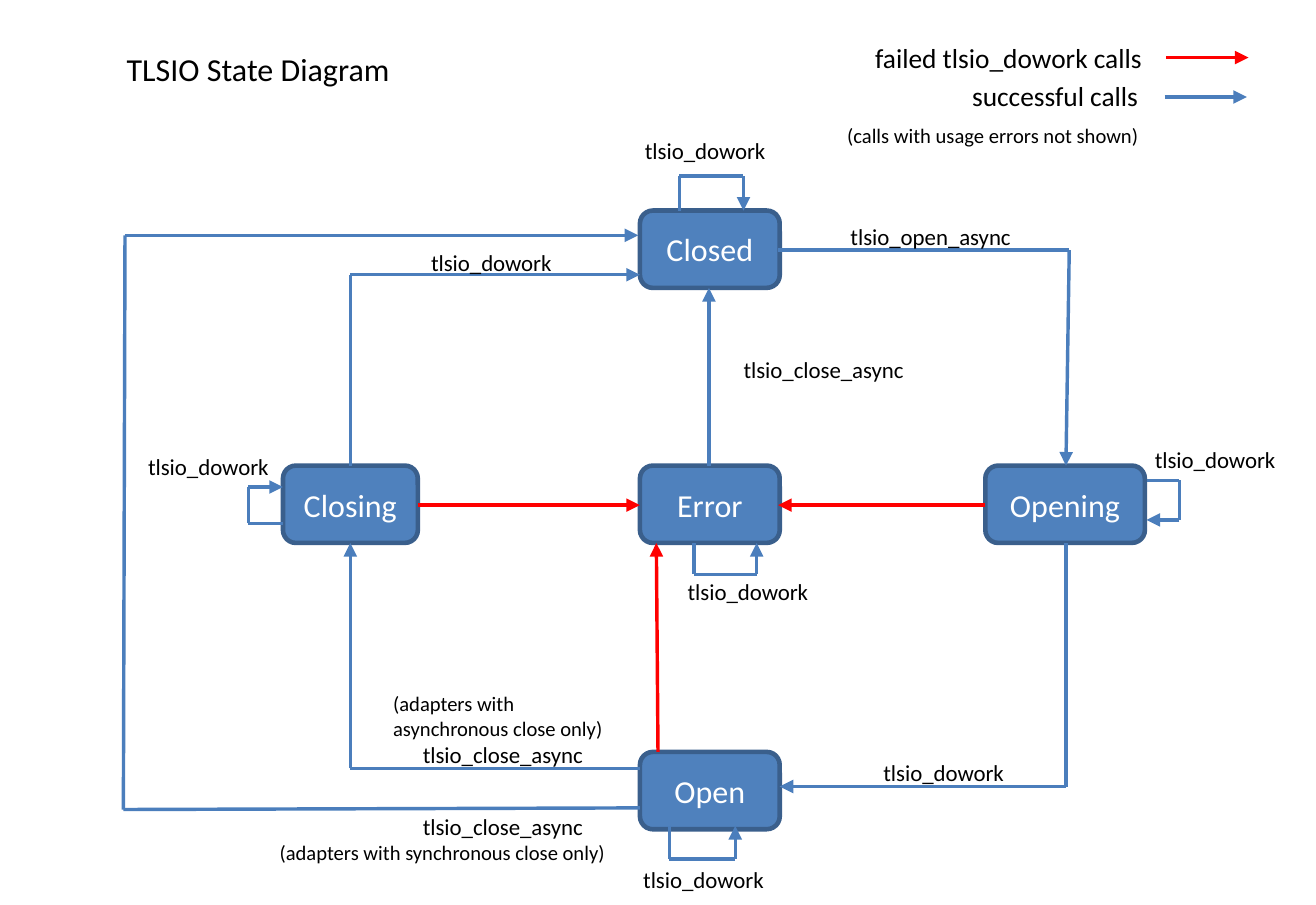
from itertools import pairwise

from lxml import etree
from pptx import Presentation
from pptx import util as u
from pptx.dml.color import RGBColor
from pptx.enum import shapes, text
from pptx.oxml.ns import qn

BLACK = RGBColor(0x00, 0x00, 0x00)
WHITE = RGBColor(0xFF, 0xFF, 0xFF)
STATE_FILL = RGBColor(0x4F, 0x81, 0xBD)
STATE_EDGE = RGBColor(0x3A, 0x5F, 0x8C)
SUCCESS = RGBColor(0x4B, 0x7E, 0xBC)
FAILURE = RGBColor(0xFF, 0x00, 0x00)


def write(frame, words, size=10, color=BLACK, align=text.PP_ALIGN.LEFT,
          wrap=False, inset=(0.15, 0.08)):
    frame.word_wrap = wrap
    frame.margin_left = frame.margin_right = u.Inches(inset[0])
    frame.margin_top = frame.margin_bottom = u.Inches(inset[1])
    para = frame.paragraphs[0]
    para.alignment = align
    span = para.add_run()
    span.text = words
    span.font.name = "Calibri"
    span.font.size = u.Pt(size)
    span.font.color.rgb = color


def draw_route(page, points, color):
    """Join the points with straight lines and end in an arrowhead."""
    for start, end in pairwise(points):
        line = page.shapes.add_connector(
            shapes.MSO_CONNECTOR.STRAIGHT, *map(u.Inches, start + end))
        line.line.color.rgb = color
        line.line.width = u.Pt(1.5)
        etree.SubElement(line._element.spPr, qn("a:effectLst"))
    etree.SubElement(line.line._get_or_add_ln(), qn("a:tailEnd"), type="triangle")


deck = Presentation()
deck.slide_width, deck.slide_height = u.Inches(8), u.Inches(5.5)
page = deck.slides.add_slide(deck.slide_layouts[6])

# States: name, left, top, width
states = [
    ("Closed", 3.89, 1.28, 0.85),
    ("Closing", 1.72, 2.83, 0.82),
    ("Error", 3.89, 2.83, 0.85),
    ("Opening", 5.99, 2.83, 0.97),
    ("Open", 3.89, 4.57, 0.85),
]
for name, left, top, width in states:
    box = page.shapes.add_shape(
        shapes.MSO_SHAPE.ROUNDED_RECTANGLE,
        *map(u.Inches, (left, top, width, 0.47)))
    box.shadow.inherit = False
    box.fill.solid()
    box.fill.fore_color.rgb = STATE_FILL
    box.line.color.rgb = STATE_EDGE
    box.line.width = u.Pt(2)
    box.text_frame.vertical_anchor = text.MSO_ANCHOR.MIDDLE
    write(box.text_frame, name, size=14, color=WHITE,
          align=text.PP_ALIGN.CENTER, wrap=True, inset=(0.1, 0.05))

# Transitions
success_routes = [
    [(4.73, 1.52), (6.5, 1.52), (6.48, 2.83)],                # Closed to Opening
    [(6.48, 3.3), (6.48, 4.78), (4.74, 4.78)],                # Opening to Open
    [(3.89, 4.67), (2.13, 4.67), (2.13, 3.3)],                # Open to Closing
    [(2.13, 2.83), (2.13, 1.67), (3.89, 1.67)],               # Closing to Closed
    [(3.89, 4.91), (0.75, 4.92), (0.76, 1.43), (3.88, 1.43)],  # Open to Closed
    [(4.31, 2.83), (4.31, 1.75)],                             # Error to Closed
    [(4.13, 1.28), (4.13, 1.07), (4.52, 1.07), (4.52, 1.28)],  # Closed loop
    [(6.97, 2.92), (7.17, 2.92), (7.17, 3.16), (6.97, 3.16)],  # Opening loop
    [(4.22, 3.3), (4.22, 3.49), (4.6, 3.49), (4.6, 3.3)],     # Error loop
    [(4.07, 5.02), (4.07, 5.22), (4.47, 5.22), (4.47, 5.02)],  # Open loop
    [(1.72, 3.18), (1.51, 3.18), (1.51, 2.96), (1.72, 2.96)],  # Closing loop
    [(7.08, 0.59), (7.58, 0.59)],                             # legend
]
failure_routes = [
    [(5.99, 3.07), (4.73, 3.07)],  # Opening to Error
    [(2.54, 3.07), (3.89, 3.07)],  # Closing to Error
    [(4, 4.57), (3.99, 3.3)],      # Open to Error
    [(7.09, 0.35), (7.59, 0.35)],  # legend
]
for color, routes in ((SUCCESS, success_routes), (FAILURE, failure_routes)):
    for points in routes:
        draw_route(page, points, color)

# Labels: words, left, top, width, height, format
call_labels = {
    "tlsio_dowork": (1.05, [(4.03, 3.43), (5.22, 4.53), (6.87, 2.63), (3.77, 0.75),
                            (3.76, 5.18), (2.47, 1.43), (0.75, 2.67)]),
    "tlsio_close_async": (1.29, [(2.42, 4.42), (4.37, 2.08), (2.42, 4.86)]),
    "tlsio_open_async": (1.29, [(5.02, 1.27)]),
}
labels = [(words, left, top, width, 0.32, {})
          for words, (width, places) in call_labels.items()
          for left, top in places]
labels += [
    ("TLSIO State Diagram", 0.64, 0.25, 1.86, 0.34,
     dict(size=14, align=text.PP_ALIGN.CENTER, wrap=True, inset=(0.1, 0.05))),
    ("failed tlsio_dowork calls", 5.17, 0.17, 1.95, 0.36, dict(size=12)),
    ("successful calls", 5.76, 0.4, 1.33, 0.36, dict(size=12)),
    ("(calls with usage errors not shown)", 5, 0.67, 2.09, 0.3, dict(size=9)),
    ("(adapters with asynchronous close only)", 2.24, 4.12, 1.63, 0.46,
     dict(size=9, wrap=True)),
    ("(adapters with synchronous close only)", 1.55, 5.03, 2.37, 0.3, dict(size=9)),
]
for words, left, top, width, height, style in labels:
    box = page.shapes.add_textbox(*map(u.Inches, (left, top, width, height)))
    box.text_frame.auto_size = text.MSO_AUTO_SIZE.SHAPE_TO_FIT_TEXT
    write(box.text_frame, words, **style)

deck.save("out.pptx")
